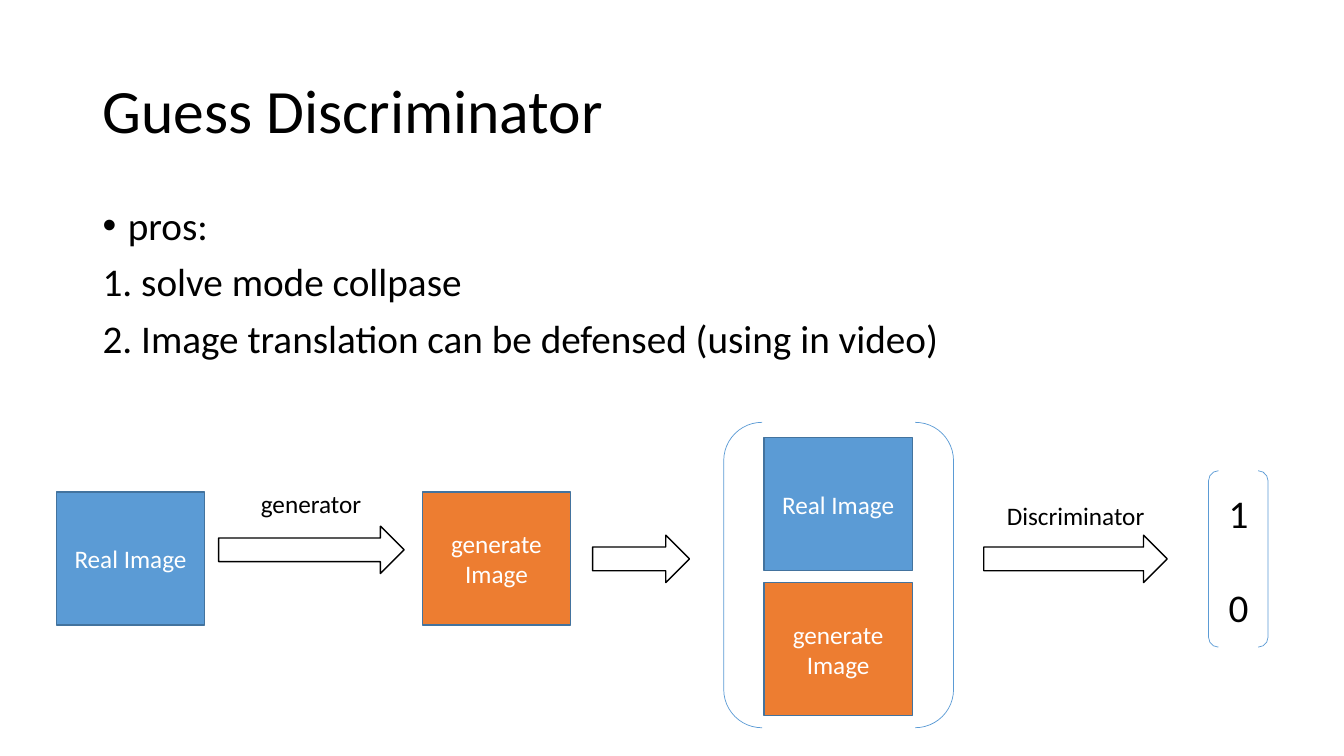
from dataclasses import dataclass

from lxml.etree import SubElement
from pptx import Presentation
from pptx.dml.color import RGBColor
from pptx.enum.shapes import MSO_SHAPE as Preset
from pptx.enum.text import MSO_ANCHOR as Anchor, MSO_AUTO_SIZE as Fit, PP_ALIGN as Align
from pptx.oxml.ns import qn
from pptx.util import Inches, Pt

COLUMNS, ROWS = 40, 22.5
FONT = "Calibri"
BLACK, WHITE = "000000", "FFFFFF"
BLUE, ORANGE, TILE_EDGE = "5B9BD5", "ED7D31", "43739E"
TILE_WIDTH, TILE_HEIGHT, ARROW_HEIGHT, LABEL_HEIGHT = 4.41, 3.96, 1.41, 1.2

deck = Presentation()
deck.slide_width, deck.slide_height = Inches(13.33), Inches(7.5)
slide = deck.slides.add_slide(deck.slide_layouts[6])


@dataclass(frozen=True)
class Area:
    """A rectangle in grid columns and rows."""
    column: float
    row: float
    width: float
    height: float

    def lengths(self) -> list[int]:
        """Return left, top, width and height in slide units."""
        across, down = deck.slide_width / COLUMNS, deck.slide_height / ROWS
        return [round(self.column * across), round(self.row * down),
                round(self.width * across), round(self.height * down)]


@dataclass(frozen=True)
class ImageTile:
    """A kind of image passing through the network."""
    caption: str
    fill: str


def color(code: str) -> RGBColor:
    """Turn a hex string into a colour."""
    return RGBColor.from_string(code)


def write(frame, lines: list[str], size: float, ink: str = BLACK,
          align=None, spacing: float = 1, before: float = 0) -> list:
    """Fill a text frame with equally styled paragraphs."""
    frame.text = "\n".join(lines)
    for paragraph in frame.paragraphs:
        paragraph.alignment = align
        paragraph.line_spacing = spacing
        paragraph.space_before = Pt(before)
        paragraph.font.name = FONT
        paragraph.font.size = Pt(size)
        paragraph.font.color.rgb = color(ink)
    return list(frame.paragraphs)


def add_text(area: Area, lines: list[str], size: float, wrap: bool = False,
             anchor=Anchor.TOP, **style) -> list:
    """Add a text box, growing with its text unless it wraps."""
    frame = slide.shapes.add_textbox(*area.lengths()).text_frame
    frame.word_wrap = wrap
    frame.auto_size = Fit.NONE if wrap else Fit.SHAPE_TO_FIT_TEXT
    frame.vertical_anchor = anchor
    return write(frame, lines, size, **style)


def add_outline(preset, area: Area, edge: str, weight: float, fill: str = ""):
    """Add a preset shape, left hollow when no fill is given."""
    shape = slide.shapes.add_shape(preset, *area.lengths())
    shape.shadow.inherit = False
    if fill:
        shape.fill.solid()
        shape.fill.fore_color.rgb = color(fill)
    else:
        shape.fill.background()
    shape.line.color.rgb = color(edge)
    shape.line.width = Pt(weight)
    return shape


def add_tile(tile: ImageTile, column: float, row: float) -> None:
    """Draw a captioned image tile."""
    area = Area(column, row, TILE_WIDTH, TILE_HEIGHT)
    frame = add_outline(Preset.RECTANGLE, area, TILE_EDGE, 1, tile.fill).text_frame
    frame.word_wrap = True
    frame.vertical_anchor = Anchor.MIDDLE
    write(frame, [tile.caption], 18, WHITE, Align.CENTER)


def add_bullet(paragraph) -> None:
    """Give a paragraph a hanging round bullet."""
    properties = paragraph._p.get_or_add_pPr()
    properties.set("marL", str(Inches(0.25)))
    properties.set("indent", str(-Inches(0.25)))
    SubElement(properties, qn("a:buFont")).set("typeface", "Arial")
    SubElement(properties, qn("a:buChar")).set("char", "•")
    # The schema wants default run properties after the bullet.
    properties.append(properties.find(qn("a:defRPr")))


add_text(Area(2.76, 1.2, 34.5, 4.35), ["Guess Discriminator"], 44, wrap=True,
         anchor=Anchor.MIDDLE, spacing=0.9)
pros = add_text(Area(2.76, 6, 34.5, 5.91),
                ["pros:", "1. solve mode collpase",
                 "2. Image translation can be defensed (using in video)"],
                28, wrap=True, spacing=0.9, before=10)
add_bullet(pros[0])

real = ImageTile("Real Image", BLUE)
generated = ImageTile("generate Image", ORANGE)
for index, (tile, column) in enumerate([(real, 1.68), (generated, 12.57)]):
    add_tile(tile, column, 14.64)
    add_tile(tile, 22.74, 13.02 + index * 4.32)

for column, row, width in [(6.51, 15.66, 5.52), (17.64, 15.93, 2.88),
                           (29.28, 15.93, 5.46)]:
    add_outline(Preset.RIGHT_ARROW, Area(column, row, width, ARROW_HEIGHT),
                BLACK, 1, WHITE)

for enclosure in [Area(21.54, 12.57, 6.84, 9.09), Area(35.97, 14.01, 1.77, 5.25)]:
    add_outline(Preset.DOUBLE_BRACKET, enclosure, BLUE, 0.5)

for step, column, row, width in [("generator", 7.47, 14.4, 3.66),
                                 ("Discriminator", 29.67, 14.73, 4.77)]:
    add_text(Area(column, row, width, LABEL_HEIGHT), [step], 18)

verdicts = add_text(Area(36.27, 14.4, 1.2, 4.53), ["1", "0"], 28)
verdicts[1].space_before = Pt(34)

deck.save("out.pptx")
